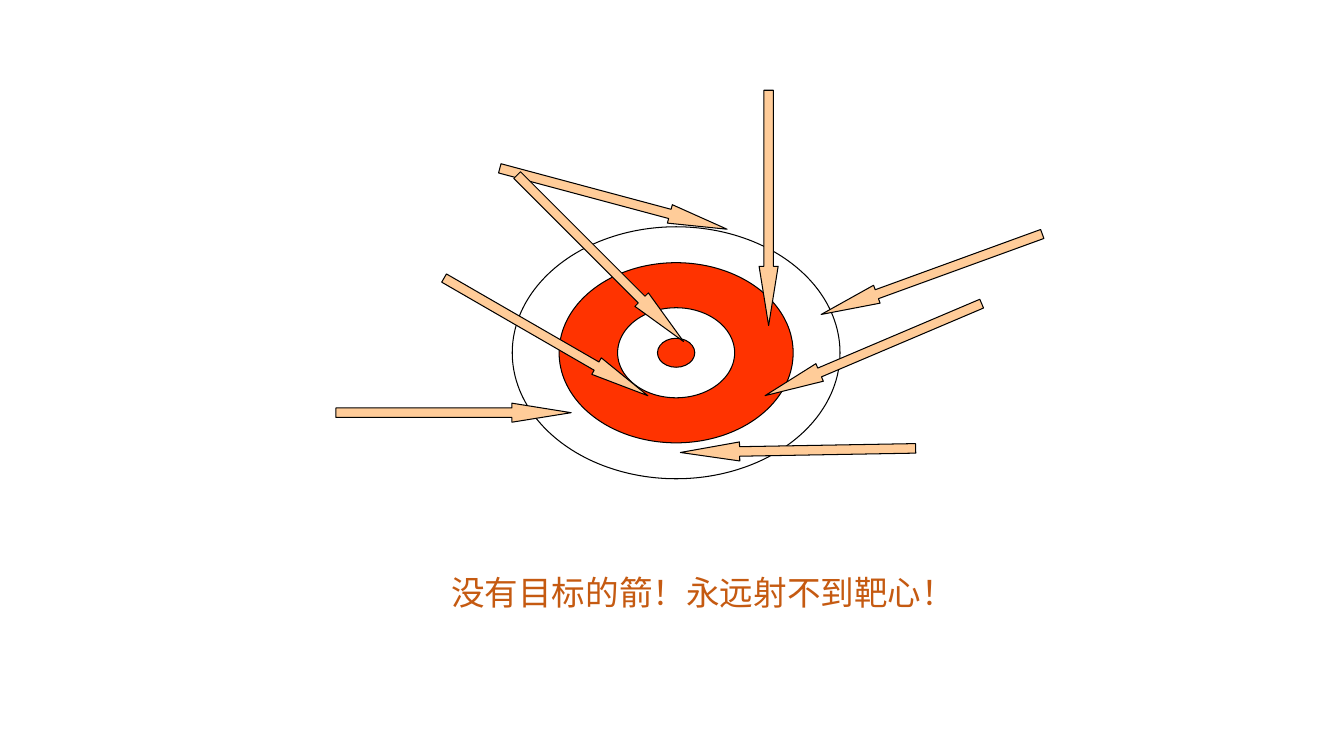
from dataclasses import dataclass

from pptx import Presentation
from pptx.dml.color import RGBColor
from pptx.enum.shapes import MSO_SHAPE
from pptx.enum.text import MSO_ANCHOR
from pptx.shapes.autoshape import Shape
from pptx.slide import Slide
from pptx.util import Cm, Pt

COLORS = {
    "white": "FFFFFF",
    "red": "FF3300",
    "shaft": "FFCC99",
    "outline": "000000",
    "slogan": "C55A11",
}

TARGET_X, TARGET_Y = 17.04, 8.89
ARROW_LENGTH, ARROW_HEIGHT = 5.93, 0.48


@dataclass
class Ring:
    width: float
    height: float
    color: str


@dataclass
class Arrow:
    center_x: float
    center_y: float
    angle: float


RINGS = [
    Ring(8.26, 6.35, "white"),
    Ring(5.9, 4.54, "red"),
    Ring(2.95, 2.27, "white"),
    Ring(0.94, 0.73, "red"),
]

ARROWS = [
    Arrow(15.46, 5.01, 15),
    Arrow(23.48, 6.91, 160),
    Arrow(20.11, 11.35, 179),
    Arrow(22.01, 8.81, 157),
    Arrow(15.13, 6.51, 45),
    Arrow(13.76, 8.49, 30),
    Arrow(19.37, 5.24, 90),
    Arrow(11.43, 10.4, 0),
]


def rgb(name: str) -> RGBColor:
    return RGBColor.from_string(COLORS[name])


def add_centered(slide: Slide, kind: MSO_SHAPE, x: float, y: float,
                 width: float, height: float, color: str) -> Shape:
    shape = slide.shapes.add_shape(
        kind, Cm(x - width / 2), Cm(y - height / 2), Cm(width), Cm(height))
    shape.shadow.inherit = False
    shape.fill.solid()
    shape.fill.fore_color.rgb = rgb(color)
    shape.line.color.rgb = rgb("outline")
    shape.line.width = Pt(0.75)
    return shape


def draw_ring(slide: Slide, ring: Ring) -> None:
    add_centered(slide, MSO_SHAPE.OVAL, TARGET_X, TARGET_Y,
                 ring.width, ring.height, ring.color)


def draw_arrow(slide: Slide, arrow: Arrow) -> None:
    shape = add_centered(slide, MSO_SHAPE.RIGHT_ARROW, arrow.center_x,
                         arrow.center_y, ARROW_LENGTH, ARROW_HEIGHT, "shaft")
    shape.adjustments[0] = 0.5
    shape.adjustments[1] = 3.109
    shape.rotation = arrow.angle


def add_text(slide: Slide, text: str, *, left: float, top: float,
             width: float, height: float, indent: float, size: float,
             font: str, color: str) -> None:
    box = slide.shapes.add_textbox(Cm(left), Cm(top), Cm(width), Cm(height))
    frame = box.text_frame
    frame.word_wrap = True
    frame.vertical_anchor = MSO_ANCHOR.TOP
    frame.margin_left = Cm(indent)
    paragraph = frame.paragraphs[0]
    paragraph.text = text
    paragraph.font.size = Pt(size)
    paragraph.font.name = font
    paragraph.font.color.rgb = rgb(color)


def main() -> None:
    presentation = Presentation()
    presentation.slide_width = Cm(33.87)
    presentation.slide_height = Cm(19.05)
    slide = presentation.slides.add_slide(presentation.slide_layouts[6])
    for ring in RINGS:
        draw_ring(slide, ring)
    for arrow in ARROWS:
        draw_arrow(slide, arrow)
    add_text(slide, "没有目标的箭！永远射不到靶心！", left=8.47, top=14.29,
             width=25, height=1.27, indent=2.9, size=24, font="Calibri",
             color="slogan")
    presentation.save("out.pptx")


if __name__ == "__main__":
    main()
